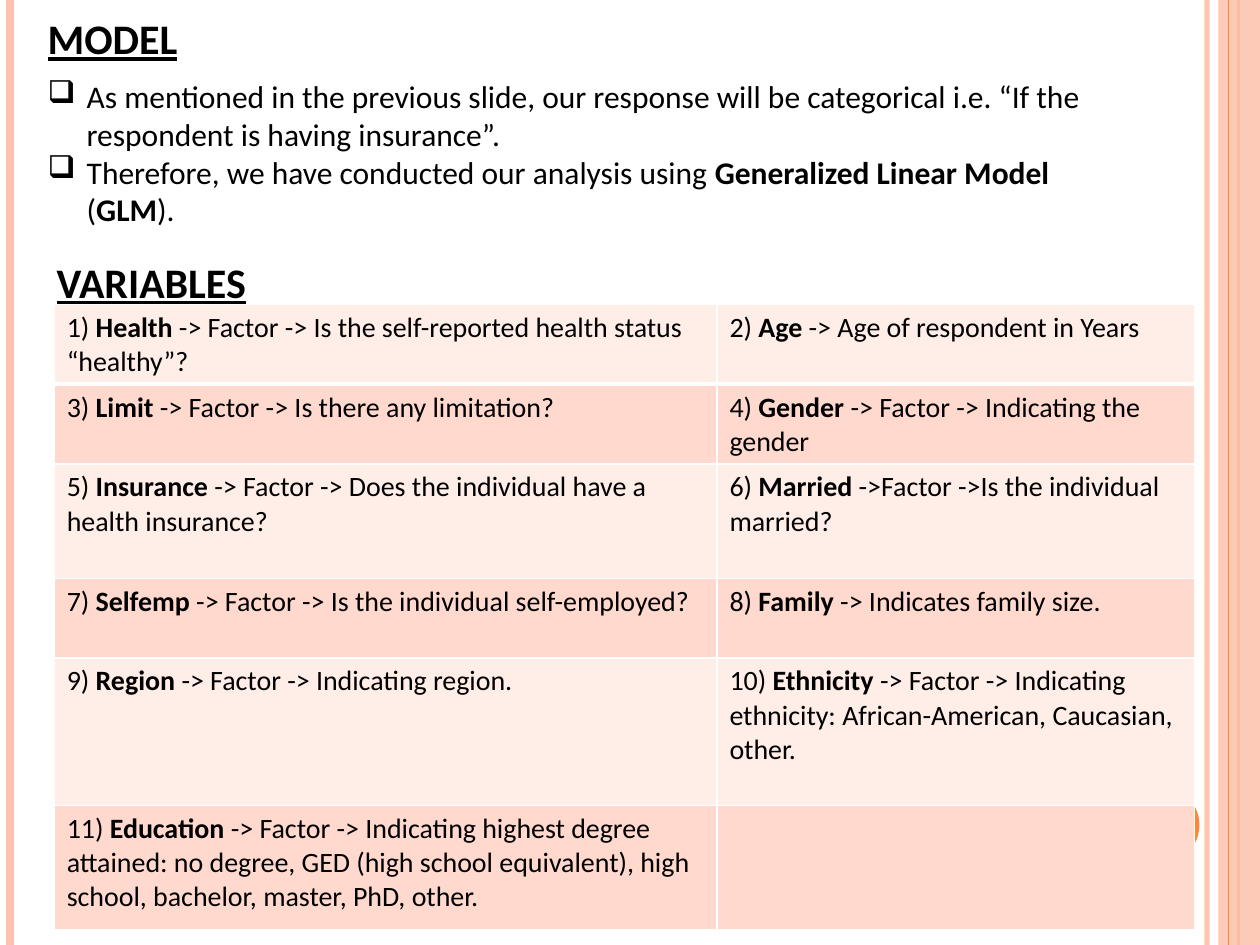
"""Build the slide on the model and its variables."""
from lxml.etree import SubElement
from pptx import Presentation
from pptx.dml.color import RGBColor
from pptx.enum.shapes import MSO_CONNECTOR, MSO_SHAPE
from pptx.oxml.ns import qn
from pptx.util import Inches, Pt

WIDTH, HEIGHT = Inches(10), Inches(7.5)
PEACH, ORANGE, BLACK, WHITE = "FEC3AE", "FE8637", "000000", "FFFFFF"
BANDS = ["FFEDE8", "FFD9CE"]

STRIPES = [
    (0.958, PEACH, 3, 93),
    (0.008, PEACH, 4.5, 100),
    (0.983, ORANGE, 1.5, 100),
]
INNER_STRIPE = (0.975, ORANGE, 0.75, 100)
SIDE_BAND = (MSO_SHAPE.RECTANGLE, (0.967, 0, 0.033, 1), PEACH, 87)
PAGE_DOT = (MSO_SHAPE.OVAL, (0.892, 0.833, 0.06, 0.08), ORANGE, 100)

HEADINGS = [
    ("MODEL", (0.028, 0.007, 0.124, 0.067)),
    ("VARIABLES", (0.035, 0.265, 0.172, 0.067)),
]
HEADING_FORMAT = {"size": Pt(24), "bold": True, "underline": True}

POINTS = [
    "As mentioned in the previous slide, our response will be categorical i.e. "
    "“If the respondent is having insurance”.",
    "Therefore, we have conducted our analysis using "
    "**Generalized Linear Model** (**GLM**).",
]
POINTS_AREA = (0.028, 0.075, 0.874, 0.175)
POINT_FORMAT = {"size": Pt(18)}

VARIABLES = [
    ("1) **Health** -> Factor -> Is the self-reported health status “healthy”?",
     "2) **Age** -> Age of respondent in Years"),
    ("3) **Limit** -> Factor -> Is there any limitation?",
     "4) **Gender** -> Factor -> Indicating the gender"),
    ("5) **Insurance** -> Factor -> Does the individual have a health insurance?",
     "6) **Married** ->Factor ->Is the individual married?"),
    ("7) **Selfemp** -> Factor -> Is the individual self-employed?",
     "8) **Family** -> Indicates family size."),
    ("9) **Region **-> Factor -> Indicating region.",
     "10) **Ethnicity** -> Factor -> Indicating ethnicity: "
     "African-American, Caucasian, other."),
    ("11) **Education** -> Factor -> Indicating highest degree attained: "
     "no degree, GED (high school equivalent), high\n"
     "school, bachelor, master, PhD, other.", ""),
]
VARIABLES_AREA = (0.043, 0.322, 0.905, 0.661)
COLUMN_WIDTHS = [5.26, 3.79]
ROW_HEIGHTS = [0.62, 0.63, 0.91, 0.63, 1.17, 0.99]
VARIABLE_FORMAT = {"size": Pt(16)}


def rgb(value):
    return RGBColor.from_string(value)


def area(shares):
    left, top, width, height = shares
    return [round(share * side) for share, side in
            ((left, WIDTH), (top, HEIGHT), (width, WIDTH), (height, HEIGHT))]


def set_opacity(properties, percent):
    if percent < 100:
        color = next(properties.iter(qn("a:srgbClr")))
        SubElement(color, qn("a:alpha"), val=str(percent * 1000))


def add_stripe(slide, share, color, weight, opacity):
    x = round(share * WIDTH)
    stripe = slide.shapes.add_connector(MSO_CONNECTOR.STRAIGHT, x, 0, x, HEIGHT)
    stripe.line.color.rgb = rgb(color)
    stripe.line.width = Pt(weight)
    properties = stripe._element.spPr
    set_opacity(properties, opacity)
    SubElement(properties, qn("a:effectLst"))


def add_block(slide, kind, shares, color, opacity):
    block = slide.shapes.add_shape(kind, *area(shares))
    block.shadow.inherit = False
    block.fill.solid()
    block.fill.fore_color.rgb = rgb(color)
    block.line.fill.background()
    set_opacity(block._element.spPr, opacity)


def write(paragraph, text, formats):
    for index, part in enumerate(text.split("**")):
        if part:
            run = paragraph.add_run()
            run.text = part
            settings = {"name": "Calibri", "bold": index % 2 == 1, **formats}
            for key, value in settings.items():
                setattr(run.font, key, value)
            run.font.color.rgb = rgb(BLACK)


def write_lines(frame, lines, formats):
    for index, line in enumerate(lines):
        paragraph = frame.add_paragraph() if index else frame.paragraphs[0]
        write(paragraph, line, formats)


def add_text(slide, lines, shares, formats, wrap):
    frame = slide.shapes.add_textbox(*area(shares)).text_frame
    frame.word_wrap = wrap
    write_lines(frame, lines, formats)
    return frame


def add_bullet(paragraph):
    properties = paragraph._p.get_or_add_pPr()
    indent = Inches(0.31)
    properties.set("marL", str(indent))
    properties.set("indent", str(-indent))
    SubElement(properties, qn("a:buChar"), char="❑")


def add_border(cell, side, weight):
    border = SubElement(cell._tc.get_or_add_tcPr(), qn(f"a:ln{side}"), w=str(Pt(weight)))
    fill = SubElement(border, qn("a:solidFill"))
    SubElement(fill, qn("a:srgbClr"), val=WHITE)


def add_variables(slide):
    table = slide.shapes.add_table(
        len(ROW_HEIGHTS), len(COLUMN_WIDTHS), *area(VARIABLES_AREA)).table
    for column, width in zip(table.columns, COLUMN_WIDTHS):
        column.width = Inches(width)
    for number, (row, height, texts) in enumerate(
            zip(table.rows, ROW_HEIGHTS, VARIABLES)):
        row.height = Inches(height)
        weights = {"L": 1, "R": 1, "T": 3 if number == 1 else 1,
                   "B": 3 if number == 0 else 1}
        for cell, text in zip(row.cells, texts):
            for side, weight in weights.items():
                add_border(cell, side, weight)
            cell.fill.solid()
            cell.fill.fore_color.rgb = rgb(BANDS[number % 2])
            write_lines(cell.text_frame, text.split("\n"), VARIABLE_FORMAT)


def main():
    deck = Presentation()
    deck.slide_width, deck.slide_height = WIDTH, HEIGHT
    slide = deck.slides.add_slide(deck.slide_layouts[6])
    for stripe in STRIPES:
        add_stripe(slide, *stripe)
    add_block(slide, *SIDE_BAND)
    add_stripe(slide, *INNER_STRIPE)
    add_block(slide, *PAGE_DOT)
    for heading, shares in HEADINGS:
        add_text(slide, [heading], shares, HEADING_FORMAT, False)
    points = add_text(slide, POINTS, POINTS_AREA, POINT_FORMAT, True)
    for paragraph in points.paragraphs:
        add_bullet(paragraph)
    add_variables(slide)
    deck.save("out.pptx")


if __name__ == "__main__":
    main()
